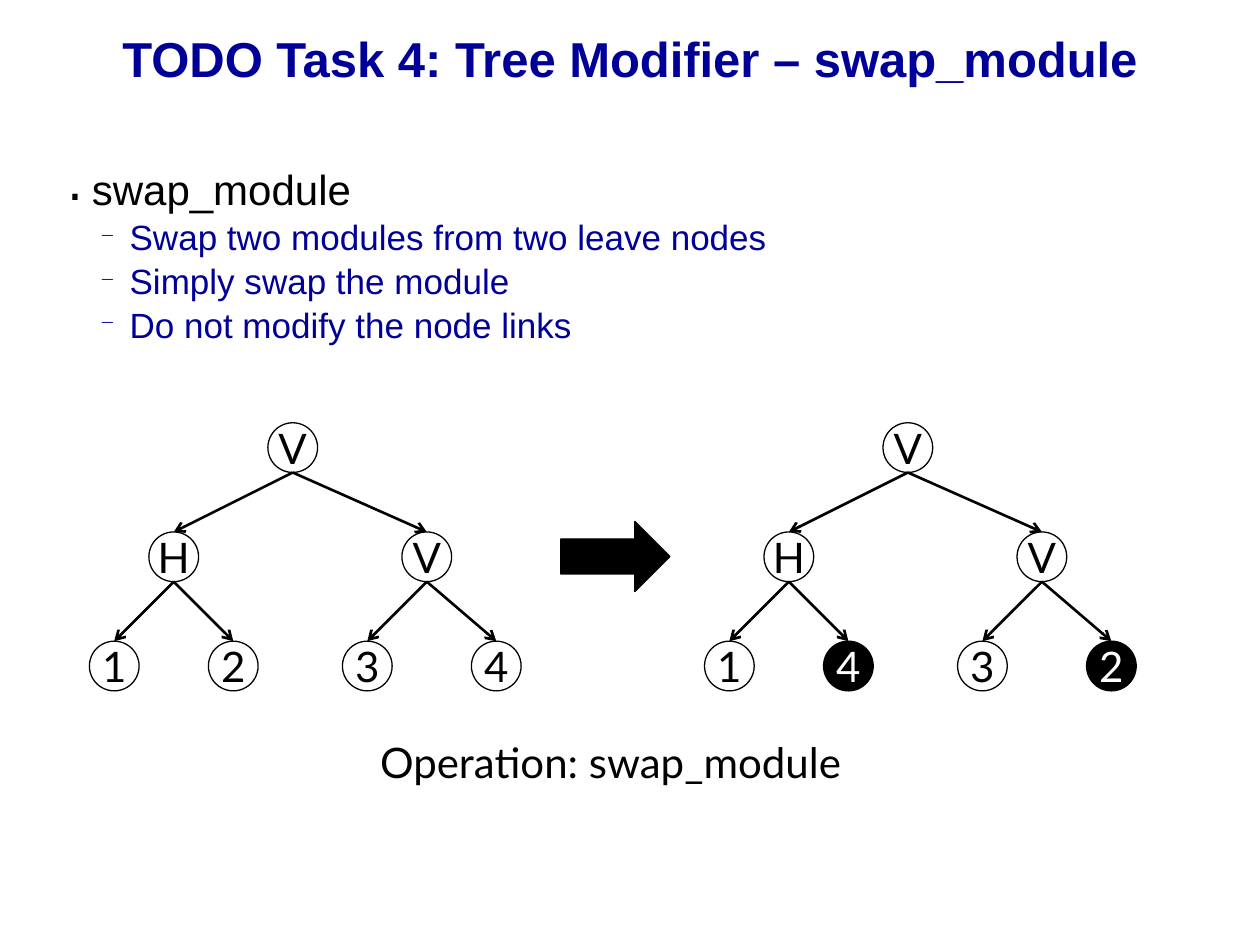
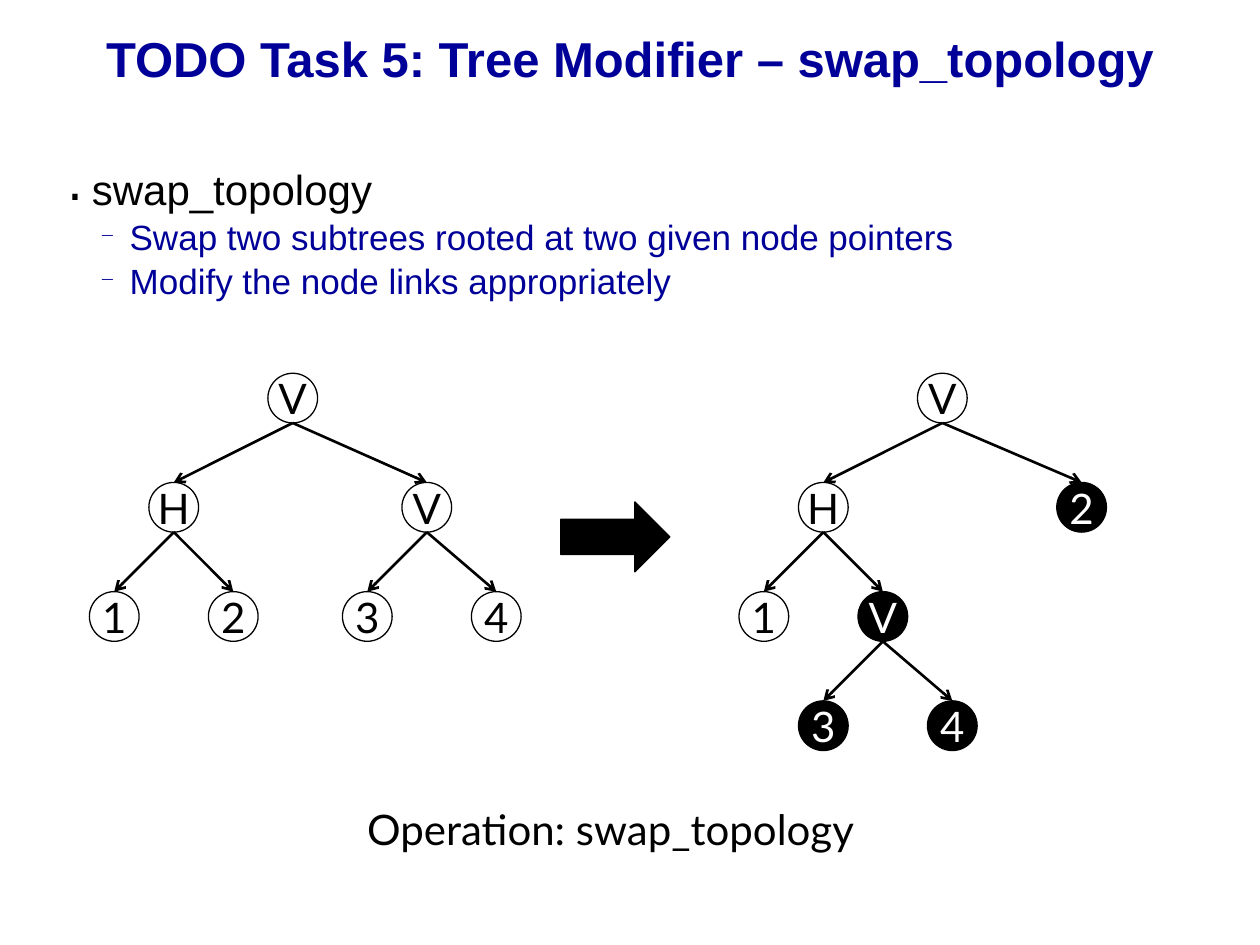
"""Builds two slides on tree modifier operations."""
from lxml import etree
from pptx import Presentation
from pptx import util as u
from pptx.dml.color import RGBColor
from pptx.enum import shapes, text
from pptx.oxml import ns

COLORS = {"navy": "000099", "black": "000000", "white": "FFFFFF"}
TITLE = {"name": "Arial", "size": u.Pt(28), "bold": True}
TOPIC = {"name": "Arial", "size": u.Pt(24)}
DETAIL = {"name": "Arial", "size": u.Pt(20)}
DIAGRAM = {"name": "Lato", "size": u.Pt(24)}
CENTERED = {"alignment": text.PP_ALIGN.CENTER}
TOPIC_BULLET = {"char": "․", "percent": 120, "margin": 14.4, "hang": 14.4}
DETAIL_BULLET = {"char": "─", "percent": 55, "margin": 36, "hang": 17}
NODE = 28.4
LEVEL = 62.4

LEFT_H = ("H", -68, False, [("1", -34, False, []), ("2", 34, False, [])])
LEFT_V = ("V", 76.6, False, [("3", -34, False, []), ("4", 39.7, False, [])])
BEFORE = ("V", 0, False, [LEFT_H, LEFT_V])
MODULES_SWAPPED = ("V", 0, False, [
    ("H", -68, False, [("1", -34, False, []), ("4", 34, True, [])]),
    ("V", 76.6, False, [("3", -34, False, []), ("2", 39.7, True, [])]),
])
MOVED_V = ("V", 34, True, [("3", -34, True, []), ("4", 39.7, True, [])])
SUBTREES_SWAPPED = ("V", 0, False, [
    ("H", -68, False, [("1", -34, False, []), MOVED_V]),
    ("2", 79.6, True, []),
])
SLIDES = [
    {"task": 4, "operation": "swap_module", "root_top": 241.6, "arrow_top": 298,
     "after": MODULES_SWAPPED, "after_x": 518.8, "caption_top": 417.6,
     "details": ["Swap two modules from two leave nodes",
                 "Simply swap the module",
                 "Do not modify the node links"]},
    {"task": 5, "operation": "swap_topology", "root_top": 213.3, "arrow_top": 286.8,
     "after": SUBTREES_SWAPPED, "after_x": 538.5, "caption_top": 455.4,
     "details": ["Swap two subtrees rooted at two given node pointers",
                 "Modify the node links appropriately"]},
]


def rgb(color):
    """Return the named colour."""
    return RGBColor.from_string(COLORS[color])


def set_attrs(obj, values):
    """Set each attribute in values on obj."""
    for name, value in values.items():
        setattr(obj, name, value)


def write(p, words, font, color, layout=None):
    """Write one formatted run in a paragraph."""
    set_attrs(p, layout or {})
    r = p.add_run()
    r.text = words
    set_attrs(r.font, font)
    r.font.color.rgb = rgb(color)


def add_bullet(p, char, percent, margin, hang):
    """Give a paragraph a hanging bullet."""
    pPr = p._p.get_or_add_pPr()
    pPr.set("marL", str(u.Pt(margin)))
    pPr.set("indent", str(-u.Pt(hang)))
    etree.SubElement(pPr, ns.qn("a:buSzPct")).set("val", str(percent * 1000))
    etree.SubElement(pPr, ns.qn("a:buChar")).set("char", char)


def add_box(s, left, top, width, height, anchor=text.MSO_ANCHOR.TOP):
    """Add a wrapping text box and return its text frame."""
    tf = s.shapes.add_textbox(*map(u.Pt, (left, top, width, height))).text_frame
    set_attrs(tf, {"word_wrap": True, "vertical_anchor": anchor})
    return tf


def add_shape(s, kind, left, top, width, height, filled):
    """Add a black outlined shape, filled black or left open."""
    sp = s.shapes.add_shape(kind, *map(u.Pt, (left, top, width, height)))
    sp.shadow.inherit = False
    if filled:
        sp.fill.solid()
        sp.fill.fore_color.rgb = rgb("black")
    else:
        sp.fill.background()
    sp.line.color.rgb = rgb("black")
    sp.line.width = u.Pt(0.75)
    return sp


def add_node(s, label, x, top, filled):
    """Add a labelled tree node centred on x."""
    sp = add_shape(s, shapes.MSO_SHAPE.OVAL, x - NODE / 2, top, NODE, NODE, filled)
    tf = sp.text_frame
    set_attrs(tf, {"word_wrap": False, "vertical_anchor": text.MSO_ANCHOR.MIDDLE})
    write(tf.paragraphs[0], label, DIAGRAM, "white" if filled else "black", CENTERED)


def add_link(s, x1, y1, x2, y2):
    """Add an arrow from a parent to its child."""
    link = s.shapes.add_connector(shapes.MSO_CONNECTOR.STRAIGHT,
                                  *map(u.Pt, (x1, y1, x2, y2)))
    link.line.color.rgb = rgb("black")
    link.line.width = u.Pt(1.5)
    etree.SubElement(link.line._get_or_add_ln(), ns.qn("a:tailEnd")).set("type", "arrow")
    etree.SubElement(link._element.spPr, ns.qn("a:effectLst"))


def add_tree(s, tree, parent_x, top):
    """Add a tree of nodes and links below its parent."""
    label, offset, filled, children = tree
    x = parent_x + offset
    add_node(s, label, x, top, filled)
    for child in children:
        add_tree(s, child, x, top + LEVEL)
        add_link(s, x, top + NODE, x + child[1], top + LEVEL)


def add_title(s, words):
    """Add the slide title."""
    tf = add_box(s, 0, 0, 720, 66.2, text.MSO_ANCHOR.MIDDLE)
    write(tf.paragraphs[0], words, TITLE, "navy", CENTERED)


def add_outline(s, topic, details):
    """Add the topic and its bulleted details."""
    tf = add_box(s, 31, 90, 657.4, 361.4)
    p = tf.paragraphs[0]
    write(p, topic, TOPIC, "black")
    add_bullet(p, **TOPIC_BULLET)
    for detail in details:
        p = tf.add_paragraph()
        write(p, detail, DETAIL, "navy", {"level": 1, "space_before": u.Pt(1)})
        add_bullet(p, **DETAIL_BULLET)


def add_caption(s, words, top):
    """Add the caption under the diagram."""
    tf = add_box(s, 54, top, 589.7, 36)
    write(tf.paragraphs[0], words, DIAGRAM, "black", CENTERED)


def add_operation_slide(prs, task, operation, details, root_top, arrow_top,
                        after, after_x, caption_top):
    """Add a slide that shows a tree before and after an operation."""
    s = prs.slides.add_slide(prs.slide_layouts[6])
    add_title(s, f"TODO Task {task}: Tree Modifier – {operation}")
    add_outline(s, operation, details)
    add_tree(s, BEFORE, 167.3, root_top)
    add_shape(s, shapes.MSO_SHAPE.RIGHT_ARROW, 320.4, arrow_top, 62.4, 40, True)
    add_tree(s, after, after_x, root_top)
    add_caption(s, f"Operation: {operation}", caption_top)


def main():
    """Build and save the presentation."""
    prs = Presentation()
    set_attrs(prs, {"slide_width": u.Pt(720), "slide_height": u.Pt(540)})
    for content in SLIDES:
        add_operation_slide(prs, **content)
    prs.save("out.pptx")


if __name__ == "__main__":
    main()
